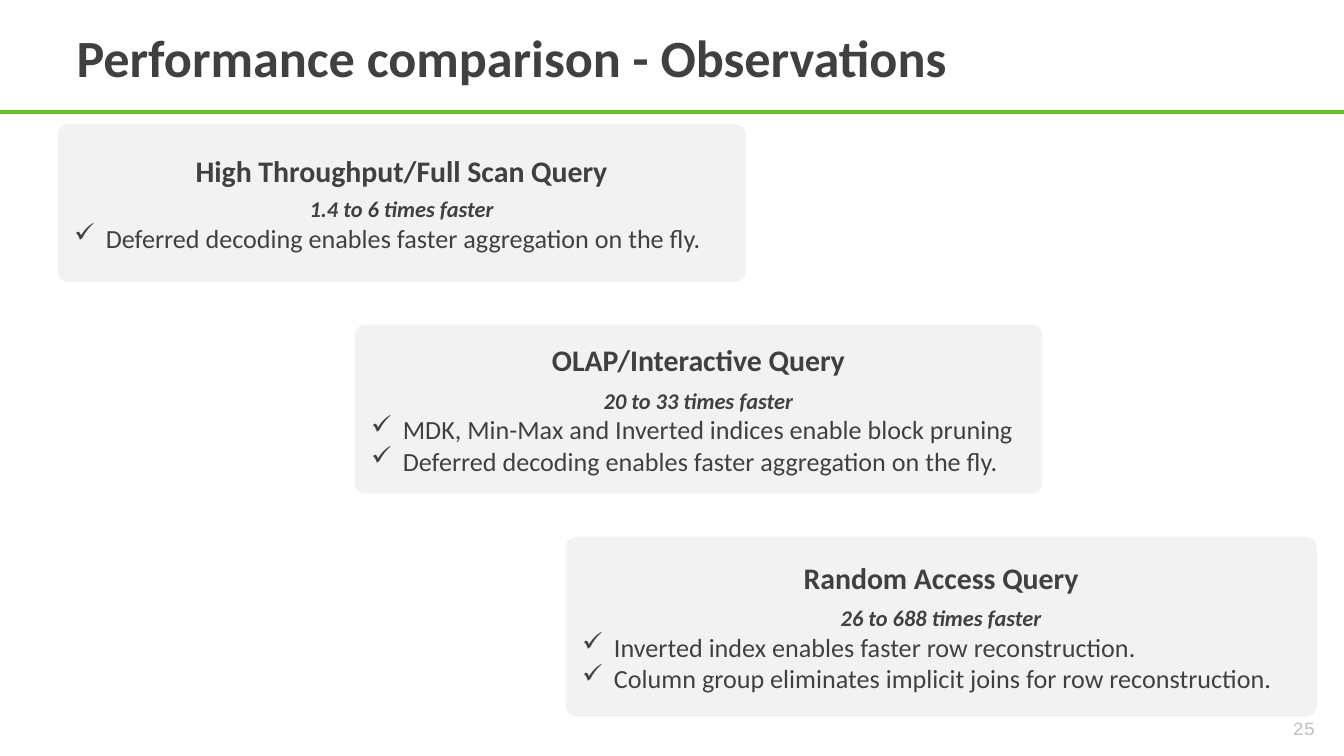
from lxml import etree
from pptx import Presentation
from pptx.dml.color import RGBColor
from pptx.enum.shapes import MSO_CONNECTOR, MSO_SHAPE
from pptx.enum.text import MSO_ANCHOR, MSO_AUTO_SIZE, PP_ALIGN
from pptx.oxml.ns import qn
from pptx.util import Pt

COLORS = {"text": "404040", "card": "F2F2F2", "rule": "69BE28", "number": "BFBFBF"}
PAGE_WIDTH, PAGE_HEIGHT = 720, 405
BULLET_INDENT = 17

# Each card: box (left, top, width, height), heading, gap below it, result, reasons
CARDS = [
    ((31, 66.5, 368.5, 84.5), "High Throughput/Full Scan Query", 3.6,
     "1.4 to 6 times faster",
     ["Deferred decoding enables faster aggregation on the fly."]),
    ((190, 174, 368.5, 90.5), "OLAP/Interactive Query", 4.8,
     "20 to 33 times faster",
     ["MDK, Min-Max and Inverted indices enable block pruning",
      "Deferred decoding enables faster aggregation on the fly."]),
    ((303, 287.5, 402.5, 96.5), "Random Access Query", 4.8,
     "26 to 688 times faster",
     ["Inverted index enables faster row reconstruction.",
      "Column group eliminates implicit joins for row reconstruction."]),
]


def color(name):
    return RGBColor.from_string(COLORS[name])


def points(box):
    return [Pt(length) for length in box]


def write(frame, text, size, bold=False, italic=False, font="Calibri", tint="text",
          align=PP_ALIGN.LEFT, gap_after=0, bullet=None):
    """Fill the empty first paragraph of the frame, or add another one."""
    first = frame.paragraphs[0]
    para = frame.add_paragraph() if first.runs else first
    para.alignment = align
    para.space_before = Pt(0)
    para.space_after = Pt(gap_after)
    if bullet:
        properties = para._p.get_or_add_pPr()
        properties.set("marL", str(Pt(BULLET_INDENT)))
        properties.set("indent", str(-Pt(BULLET_INDENT)))
        etree.SubElement(properties, qn("a:buChar")).set("char", bullet)
    span = para.add_run()
    span.text = text
    span.font.name = font
    span.font.size = Pt(size)
    span.font.bold = bold
    span.font.italic = italic
    span.font.color.rgb = color(tint)
    return para


def set_frame(frame, inset_x, inset_y, anchor):
    frame.word_wrap = True
    frame.auto_size = MSO_AUTO_SIZE.NONE
    frame.vertical_anchor = anchor
    frame.margin_left = frame.margin_right = Pt(inset_x)
    frame.margin_top = frame.margin_bottom = Pt(inset_y)


def place_title(page, box, text):
    title = page.shapes.title
    title.left, title.top, title.width, title.height = points(box)
    set_frame(title.text_frame, 5, 5, MSO_ANCHOR.MIDDLE)
    write(title.text_frame, text, 28, bold=True)


def place_rule(page, top):
    rule = page.shapes.add_connector(
        MSO_CONNECTOR.STRAIGHT, 0, Pt(top), Pt(PAGE_WIDTH), Pt(top))
    rule.line.color.rgb = color("rule")
    rule.line.width = Pt(2)
    etree.SubElement(rule._element.spPr, qn("a:effectLst"))


def place_card(page, box, heading, gap, result, reasons):
    card = page.shapes.add_shape(MSO_SHAPE.ROUNDED_RECTANGLE, *points(box))
    card.adjustments[0] = 0.065
    card.shadow.inherit = False
    card.fill.solid()
    card.fill.fore_color.rgb = color("card")
    card.line.fill.background()
    frame = card.text_frame
    set_frame(frame, 7.2, 3.6, MSO_ANCHOR.MIDDLE)
    write(frame, heading, 16, bold=True, align=PP_ALIGN.CENTER, gap_after=gap)
    write(frame, result, 12, bold=True, italic=True, align=PP_ALIGN.CENTER)
    for reason in reasons:
        write(frame, reason, 14, bullet="✓")


def place_page_number(page, box, number):
    frame = page.shapes.add_textbox(*points(box)).text_frame
    set_frame(frame, 0, 0, MSO_ANCHOR.TOP)
    para = write(frame, number, 10, font="Courier New", tint="number")
    para.line_spacing = 0.85


def main():
    deck = Presentation()
    deck.slide_width, deck.slide_height = Pt(PAGE_WIDTH), Pt(PAGE_HEIGHT)
    page = deck.slides.add_slide(deck.slide_layouts[5])

    # Page frame
    place_page_number(page, (692.5, 386, 31.5, 12), "25")
    place_rule(page, 60)
    place_title(page, (36, 8, 655, 44.5), "Performance comparison - Observations")

    # Observation cards, stepping down to the right
    for card in CARDS:
        place_card(page, *card)

    deck.save("out.pptx")


if __name__ == "__main__":
    main()
